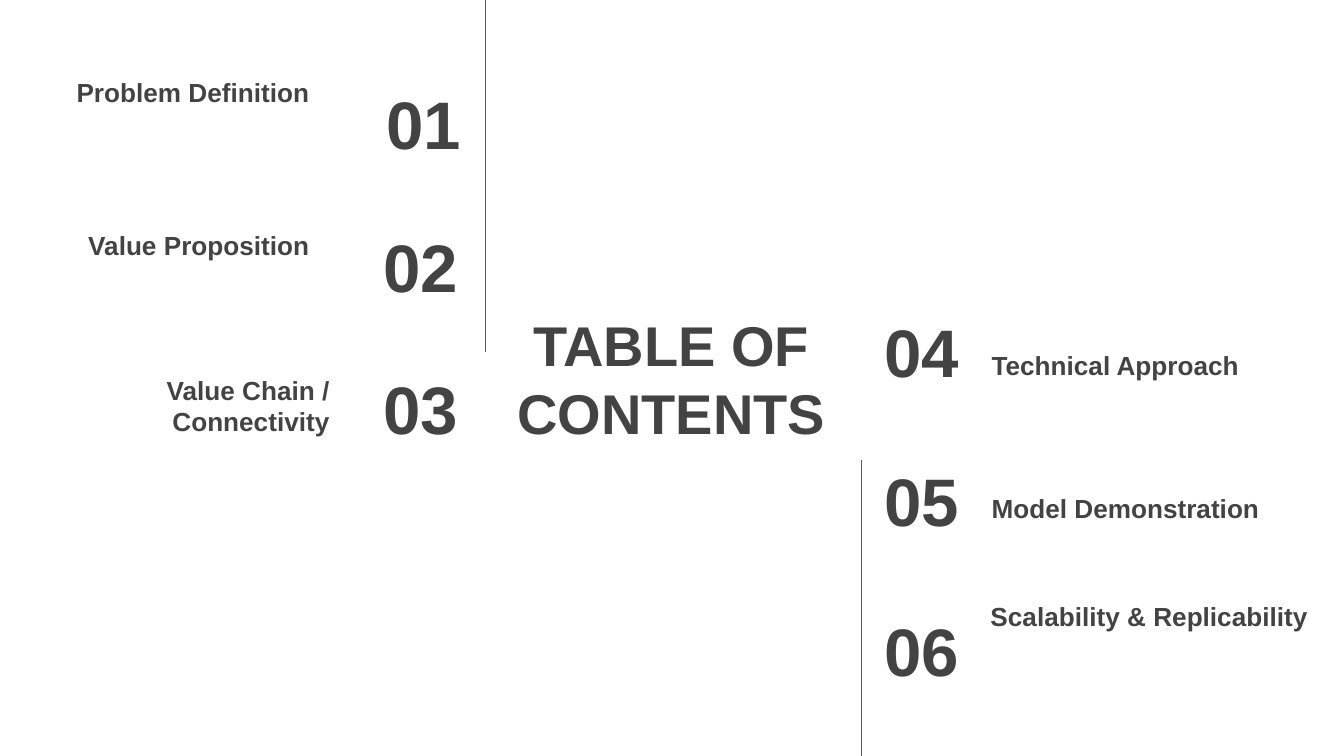
from lxml import etree
from pptx import Presentation
from pptx.dml.color import RGBColor
from pptx.enum.shapes import MSO_CONNECTOR
from pptx.enum.text import MSO_ANCHOR, PP_ALIGN
from pptx.oxml.ns import qn
from pptx.util import Cm, Pt

INK = RGBColor(0x43, 0x43, 0x43)
RULE = RGBColor(0x59, 0x59, 0x59)
STRAIGHT = MSO_CONNECTOR.STRAIGHT
MIDDLE, BOTTOM = MSO_ANCHOR.MIDDLE, MSO_ANCHOR.BOTTOM
LEFT, CENTER, RIGHT = PP_ALIGN.LEFT, PP_ALIGN.CENTER, PP_ALIGN.RIGHT
INSET = 0.25
ROW_HEIGHT = 1.6

prs = Presentation()
prs.slide_width, prs.slide_height = Cm(25.4), Cm(14.29)
slide = prs.slides.add_slide(prs.slide_layouts[6])


def add_text(text, left, top, width, height, size, align, anchor, bottom_inset=INSET):
    box = slide.shapes.add_textbox(Cm(left), Cm(top), Cm(width), Cm(height))
    frame = box.text_frame
    frame.word_wrap = True
    frame.vertical_anchor = anchor
    frame.margin_left = frame.margin_top = frame.margin_right = Cm(INSET)
    frame.margin_bottom = Cm(bottom_inset)
    paragraph = frame.paragraphs[0]
    paragraph.text = text
    paragraph.alignment = align
    paragraph.font.name = "Arial"
    paragraph.font.size = Pt(size)
    paragraph.font.bold = True
    paragraph.font.color.rgb = INK


add_text("TABLE OF CONTENTS", 9.4, 5.84, 6.58, 2.62, 30, CENTER, MIDDLE)

for x, start, end in [(9.17, 0, 6.65), (16.28, 8.69, 14.29)]:
    divider = slide.shapes.add_connector(STRAIGHT, Cm(x), Cm(start), Cm(x), Cm(end))
    divider.line.color.rgb = RULE
    divider.line.width = Pt(0.75)
    etree.SubElement(divider._element.spPr, qn("a:effectLst"))

left_topics = [
    ("01", 5.89, 1.52, "Problem Definition", 0.61, 0.69),
    ("02", 5.84, 4.22, "Value Proposition", 0.61, 3.58),
    ("03", 5.84, 6.91, "Value Chain / Connectivity", 0.99, 6.91),
]
for number, number_left, number_top, topic, topic_left, topic_top in left_topics:
    add_text(number, number_left, number_top, 3.07, ROW_HEIGHT, 36, RIGHT, MIDDLE)
    add_text(topic, topic_left, topic_top, 5.49, ROW_HEIGHT, 14, RIGHT, BOTTOM)

right_topics = [
    ("04", 5.82, "Technical Approach", 18.49, 5.64, 9.35, 2.11, 0.75),
    ("05", 8.64, "Model Demonstration", 18.49, 8.89, 6.58, ROW_HEIGHT, 0.82),
    ("06", 11.48, "Scalability & Replicability", 18.47, 10.59, 6.93, ROW_HEIGHT, INSET),
]
for number, number_top, topic, left, top, width, height, bottom_inset in right_topics:
    add_text(number, 16.46, number_top, 2.97, ROW_HEIGHT, 36, LEFT, MIDDLE)
    add_text(topic, left, top, width, height, 14, LEFT, BOTTOM, bottom_inset)

prs.save("out.pptx")
